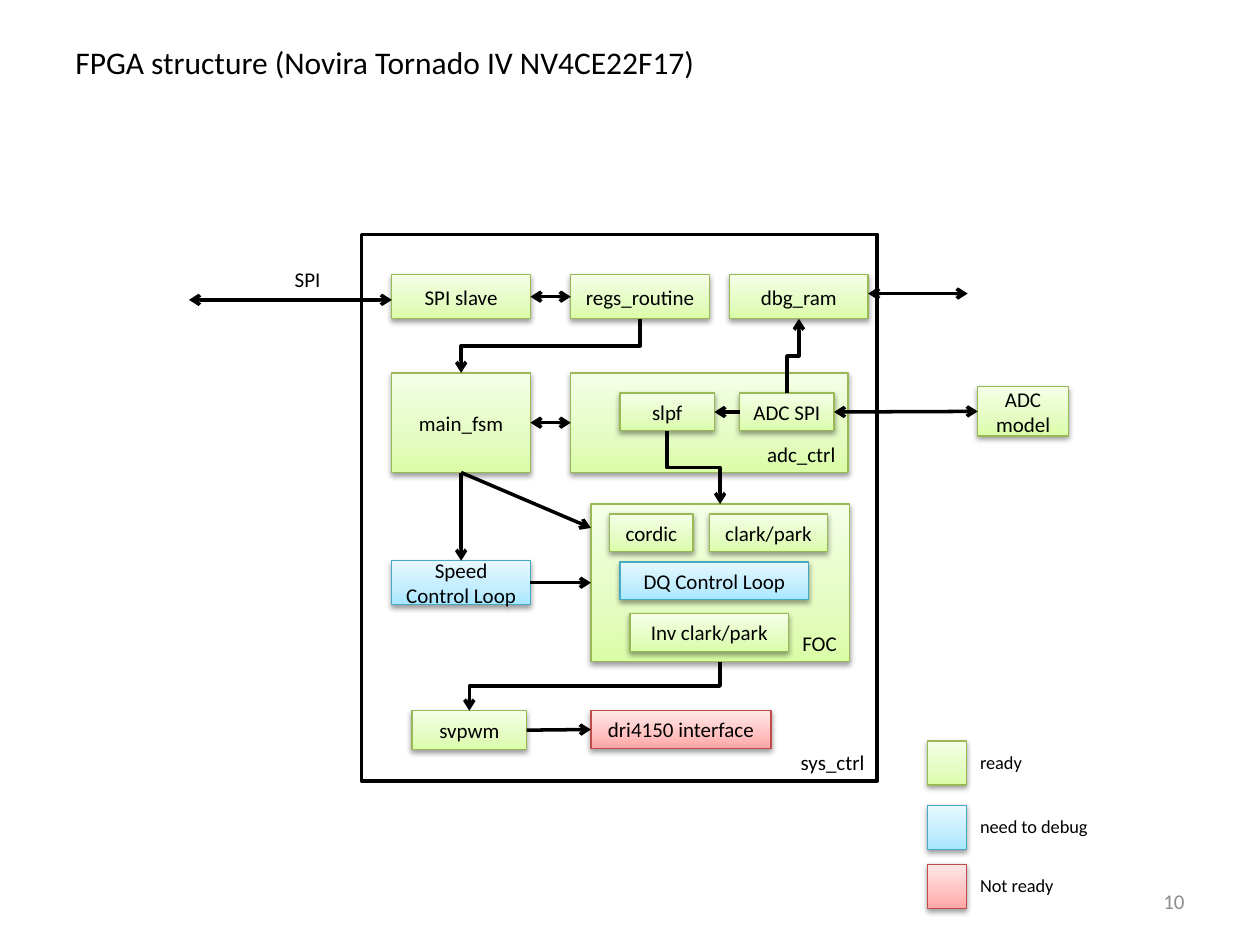
from copy import deepcopy
from dataclasses import dataclass

from lxml.etree import SubElement
from pptx import Presentation
from pptx.dml.color import RGBColor
from pptx.enum.shapes import MSO_CONNECTOR as Route, MSO_SHAPE as Preset
from pptx.enum.text import MSO_ANCHOR as Anchor, PP_ALIGN as Align
from pptx.oxml.ns import qn
from pptx.util import Inches, Pt

FONT = "Calibri"
COLORS = {"ink": "000000", "paper": "FFFFFF", "page_number": "8C8C8C"}
# Per status: outline, then the gradient from bottom to top
STATUS_COLORS = {
    "ready": ("98B955", "DAFDA7", "E4FCC2", "F5FFE7"),
    "debug": ("46AAC5", "A7E6FF", "C1EDFF", "E7F8FF"),
    "not ready": ("BF4C48", "FFA6A5", "FFC0BF", "FFE7E7"),
}
GRADIENT_POSITIONS = (0, 0.35, 1)
TOP, LEFT, BOTTOM, RIGHT = range(4)


@dataclass
class Block:
    label: str
    left: float
    top: float
    width: float
    height: float
    status: str = "ready"
    container: bool = False  # label sits in the lower right corner


@dataclass
class Wire:
    start: tuple  # (block label, side) or (x, y)
    end: tuple
    both_ways: bool = False


@dataclass
class LegendEntry:
    label: str
    status: str
    top: float


BLOCKS = [
    Block("sys_ctrl", 2.87, 1.86, 4.09, 4.34, "frame", True),
    Block("adc_ctrl", 4.53, 2.96, 2.2, 0.79, container=True),
    Block("FOC", 4.69, 4, 2.05, 1.25, container=True),
    Block("SPI slave", 3.11, 2.18, 1.1, 0.35),
    Block("regs_routine", 4.53, 2.18, 1.1, 0.35),
    Block("dbg_ram", 5.79, 2.18, 1.1, 0.35),
    Block("main_fsm", 3.11, 2.96, 1.1, 0.79),
    Block("slpf", 4.92, 3.12, 0.75, 0.3),
    Block("ADC SPI", 5.87, 3.12, 0.75, 0.3),
    Block("ADC model", 7.76, 3.07, 0.72, 0.39),
    Block("cordic", 4.84, 4.08, 0.66, 0.3),
    Block("clark/park", 5.63, 4.08, 0.94, 0.3),
    Block("DQ Control Loop", 4.92, 4.46, 1.5, 0.3, "debug"),
    Block("Inv clark/park", 5, 4.87, 1.26, 0.3),
    Block("Speed Control Loop", 3.11, 4.45, 1.1, 0.35, "debug"),
    Block("svpwm", 3.27, 5.64, 0.91, 0.31),
    Block("dri4150 interface", 4.69, 5.64, 1.43, 0.3, "not ready"),
]
STRAIGHT_WIRES = [
    Wire((3.11, 2.38), (1.5, 2.38), True),
    Wire((7.68, 2.33), (6.89, 2.33), True),
    Wire(("regs_routine", LEFT), ("SPI slave", RIGHT), True),
    Wire(("adc_ctrl", LEFT), ("main_fsm", RIGHT), True),
    Wire(("ADC model", LEFT), ("ADC SPI", RIGHT), True),
    Wire(("ADC SPI", LEFT), ("slpf", RIGHT)),
    Wire(("main_fsm", BOTTOM), ("Speed Control Loop", TOP)),
    Wire(("main_fsm", BOTTOM), (4.69, 4.19)),
    Wire(("Speed Control Loop", RIGHT), ("FOC", LEFT)),
    Wire(("svpwm", RIGHT), ("dri4150 interface", LEFT)),
]
BENT_WIRES = [
    Wire(("regs_routine", BOTTOM), ("main_fsm", TOP)),
    Wire(("ADC SPI", TOP), ("dbg_ram", BOTTOM)),
    Wire(("slpf", BOTTOM), ("FOC", TOP)),
    Wire(("FOC", BOTTOM), ("svpwm", TOP)),
]
LEGEND = [
    LegendEntry("ready", "ready", 5.88),
    LegendEntry("need to debug", "debug", 6.39),
    LegendEntry("Not ready", "not ready", 6.86),
]
BLOCK_BY_LABEL = {block.label: block for block in BLOCKS}


def rgb(hex_color: str) -> RGBColor:
    return RGBColor.from_string(hex_color)


def write(shape, text: str, size: float = 12, color: str = "ink",
          align=Align.LEFT, anchor=Anchor.TOP, wrap: bool = True) -> None:
    frame = shape.text_frame
    frame.word_wrap = wrap
    frame.vertical_anchor = anchor
    paragraph = frame.paragraphs[0]
    paragraph.text = text
    paragraph.alignment = align
    paragraph.font.name = FONT
    paragraph.font.size = Pt(size)
    paragraph.font.color.rgb = rgb(COLORS[color])


def add_text(slide, text: str, left: float, top: float, width: float,
             height: float, **style) -> None:
    box = slide.shapes.add_textbox(*map(Inches, (left, top, width, height)))
    write(box, text, **style)


def paint_status(shape, status: str) -> None:
    """Gradient, outline and soft shadow of a status."""
    outline, *gradient = STATUS_COLORS[status]
    shape.fill.gradient()
    shape.fill.gradient_angle = 90
    stop_list = shape._element.spPr.find(".//" + qn("a:gsLst"))
    stop_list.insert(1, deepcopy(stop_list[0]))
    for stop, color, position in zip(shape.fill.gradient_stops, gradient,
                                     GRADIENT_POSITIONS):
        stop.color.rgb = rgb(color)
        stop.position = position
    shape.line.color.rgb = rgb(outline)
    shape.line.width = Pt(0.75)
    effects = shape._element.spPr.find(qn("a:effectLst"))
    shadow = SubElement(effects, qn("a:outerShdw"), blurRad="40000",
                        dist="20000", dir="5400000", rotWithShape="0")
    shade = SubElement(shadow, qn("a:srgbClr"), val=COLORS["ink"])
    SubElement(shade, qn("a:alpha"), val="38000")


def add_block(slide, block: Block):
    shape = slide.shapes.add_shape(Preset.RECTANGLE, *map(
        Inches, (block.left, block.top, block.width, block.height)))
    shape.shadow.inherit = False
    if block.status in STATUS_COLORS:
        paint_status(shape, block.status)
    else:
        shape.fill.solid()
        shape.fill.fore_color.rgb = rgb(COLORS["paper"])
        shape.line.color.rgb = rgb(COLORS["ink"])
        shape.line.width = Pt(2)
    if block.label:
        write(shape, block.label,
              align=Align.RIGHT if block.container else Align.CENTER,
              anchor=Anchor.BOTTOM if block.container else Anchor.MIDDLE)
    return shape


def locate(end: tuple) -> tuple[float, float]:
    """Point of a wire end: given directly or the middle of a block side."""
    if end[0] not in BLOCK_BY_LABEL:
        return end
    block, side = BLOCK_BY_LABEL[end[0]], end[1]
    across = {LEFT: 0, RIGHT: 1}.get(side, 0.5)
    down = {TOP: 0, BOTTOM: 1}.get(side, 0.5)
    return block.left + across * block.width, block.top + down * block.height


def style_wire(connector, both_ways: bool) -> None:
    connector.line.color.rgb = rgb(COLORS["ink"])
    connector.line.width = Pt(2)
    line = connector.line._get_or_add_ln()
    for tag in ("a:headEnd", "a:tailEnd") if both_ways else ("a:tailEnd",):
        SubElement(line, qn(tag), type="arrow")
    SubElement(connector._element.spPr, qn("a:effectLst"))


def add_straight_wire(slide, wire: Wire, shapes: dict) -> None:
    connector = slide.shapes.add_connector(
        Route.STRAIGHT, *map(Inches, locate(wire.start) + locate(wire.end)))
    for end, join in ((wire.start, connector.begin_connect),
                      (wire.end, connector.end_connect)):
        if end[0] in shapes:
            join(shapes[end[0]], end[1])
    style_wire(connector, wire.both_ways)


def add_bent_wire(slide, wire: Wire) -> None:
    """Leave and arrive vertically: an elbow turned by a quarter."""
    (x1, y1), (x2, y2) = locate(wire.start), locate(wire.end)
    mid_x, mid_y = (x1 + x2) / 2, (y1 + y2) / 2
    half_x, half_y = (x2 - x1) / 2, (y2 - y1) / 2
    connector = slide.shapes.add_connector(Route.ELBOW, *map(
        Inches, (mid_x - half_y, mid_y + half_x, mid_x + half_y, mid_y - half_x)))
    connector._element.spPr.find(qn("a:xfrm")).set("rot", "5400000")
    style_wire(connector, wire.both_ways)


def main() -> None:
    deck = Presentation()
    deck.slide_width, deck.slide_height = Inches(10), Inches(7.5)
    slide = deck.slides.add_slide(deck.slide_layouts[6])

    # Title and page number
    add_text(slide, "FPGA structure (Novira Tornado IV NV4CE22F17)",
             0.5, 0.3, 9, 0.38, size=18, anchor=Anchor.MIDDLE)
    add_text(slide, "10", 7.17, 6.95, 2.33, 0.4, color="page_number",
             align=Align.RIGHT, anchor=Anchor.MIDDLE)

    # Block diagram
    shapes = {block.label: add_block(slide, block) for block in BLOCKS}
    for wire in STRAIGHT_WIRES:
        add_straight_wire(slide, wire, shapes)
    for wire in BENT_WIRES:
        add_bent_wire(slide, wire)
    add_text(slide, "SPI", 2.24, 2.07, 0.41, 0.3, wrap=False)

    # Legend
    for entry in LEGEND:
        add_block(slide, Block("", 7.36, entry.top, 0.31, 0.35, entry.status))
        add_text(slide, entry.label, 7.68, entry.top + 0.03, 1.07, 0.28,
                 size=10.5, wrap=False)

    deck.save("out.pptx")


if __name__ == "__main__":
    main()
